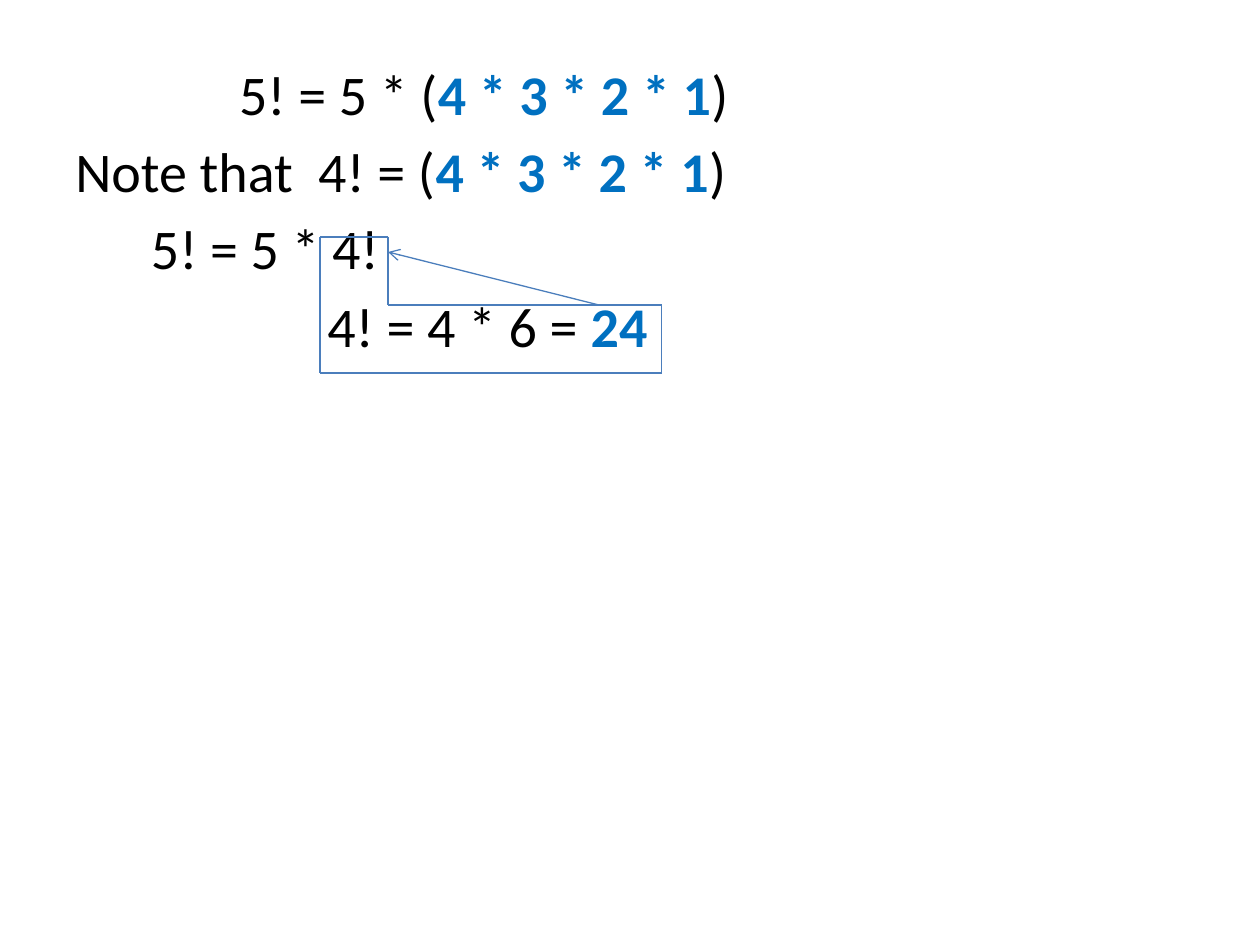
from itertools import pairwise

from lxml.etree import SubElement
from pptx import Presentation
from pptx.dml.color import RGBColor
from pptx.enum.shapes import MSO_CONNECTOR
from pptx.oxml.ns import qn
from pptx.util import Inches, Pt

BLACK = RGBColor(0x00, 0x00, 0x00)
BLUE = RGBColor(0x00, 0x70, 0xC0)
OUTLINE = RGBColor(0x4B, 0x7E, 0xBC)


def add_text(paragraph, text, *, font="Calibri", size=32, color=BLACK, bold=False):
    run = paragraph.add_run()
    run.text = text
    run.font.name = font
    run.font.size = Pt(size)
    run.font.color.rgb = color
    run.font.bold = bold


class FactorialSlide:
    line_width = 0.75
    space_before = 5.8

    def __init__(self, slide):
        self.slide = slide

    def equations(self, left, top, width, height, rows):
        frame = self.slide.shapes.add_textbox(
            Inches(left), Inches(top), Inches(width), Inches(height)
        ).text_frame
        frame.word_wrap = True
        for index, (indent, pieces) in enumerate(rows):
            equation = frame.add_paragraph() if index else frame.paragraphs[0]
            equation.space_before = Pt(self.space_before)
            equation._p.get_or_add_pPr().set("marL", str(Inches(indent)))
            for text, highlighted in pieces:
                add_text(equation, text, color=BLUE if highlighted else BLACK, bold=highlighted)

    def line(self, start, end, arrow=False):
        connector = self.slide.shapes.add_connector(
            MSO_CONNECTOR.STRAIGHT, *(Inches(value) for value in (*start, *end))
        )
        connector.line.color.rgb = OUTLINE
        connector.line.width = Pt(self.line_width)
        if arrow:
            SubElement(connector.line._get_or_add_ln(), qn("a:tailEnd"), type="arrow")
        SubElement(connector._element.spPr, qn("a:effectLst"))

    def outline(self, corners):
        for start, end in pairwise([*corners, corners[0]]):
            self.line(start, end)


presentation = Presentation()
presentation.slide_width = Inches(10)
presentation.slide_height = Inches(7.5)
factorial = FactorialSlide(presentation.slides.add_slide(presentation.slide_layouts[6]))

product = ("4 * 3 * 2 * 1", True)
closing = (")", False)
factorial.equations(0.5, 0.42, 9.5, 6.28, [
    (1.3, [("5! = 5 * (", False), product, closing]),
    (0, [("Note that  4! = (", False), product, closing]),
    (0.6, [("5! = 5 * 4!", False)]),
    (2, [("4! = 4 * 6 = ", False), ("24", True)]),
])

left, notch, right = 2.54, 3.08, 5.25
top, middle, bottom = 1.88, 2.42, 2.96
factorial.line((4.75, middle), (notch, 2), arrow=True)
factorial.outline([
    (left, bottom), (left, top), (notch, top),
    (notch, middle), (right, middle), (right, bottom),
])

presentation.save("out.pptx")
